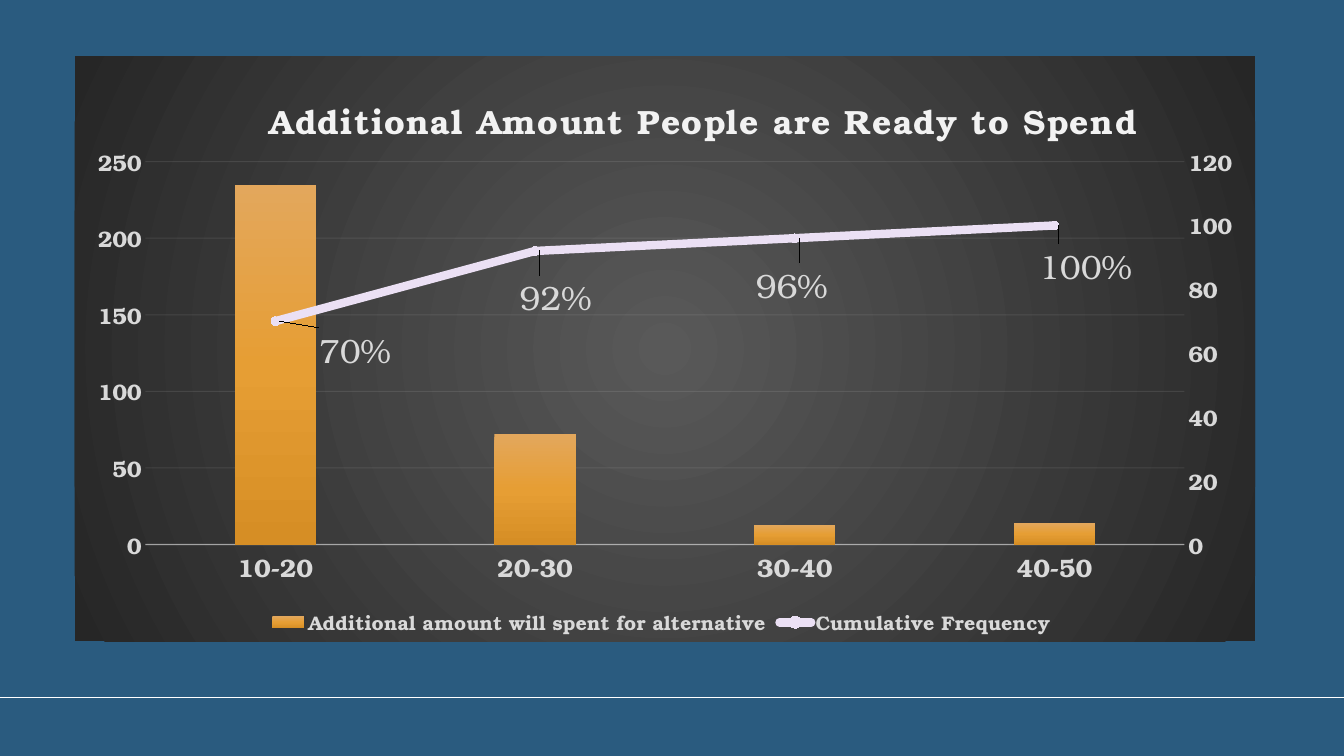
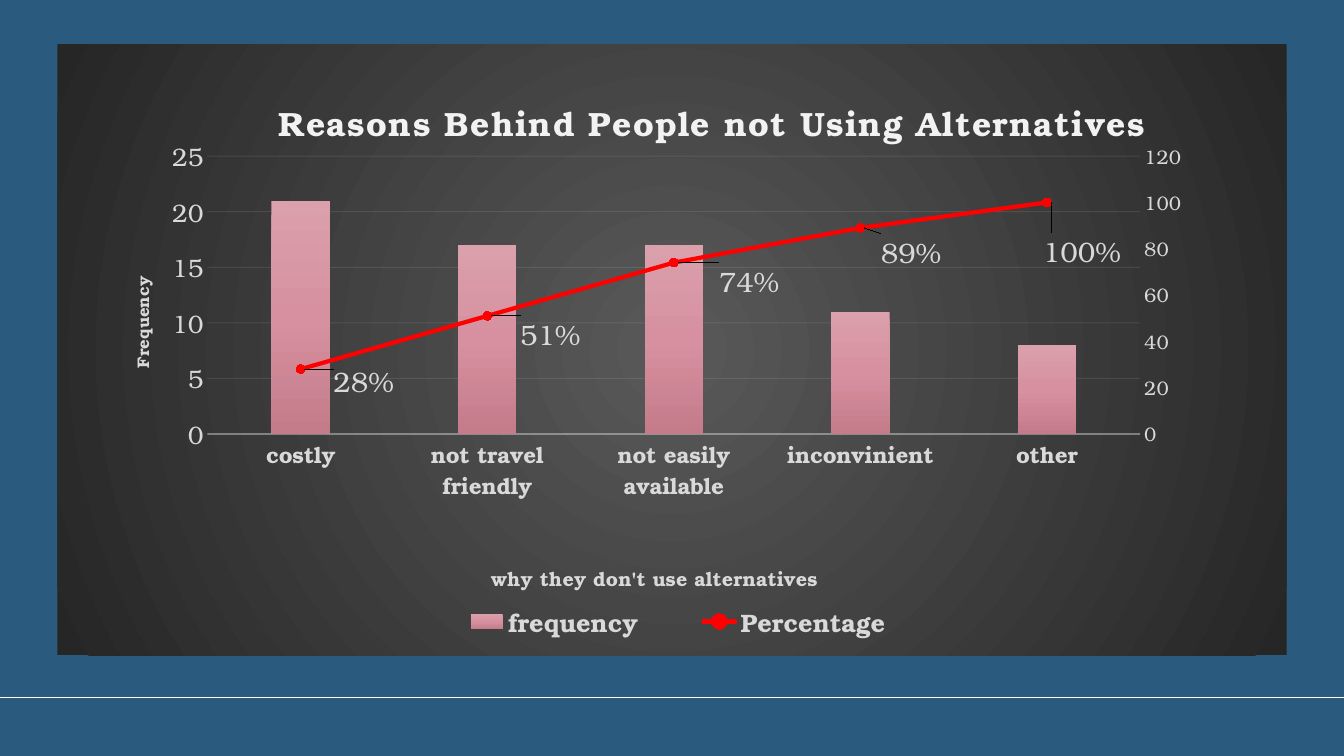
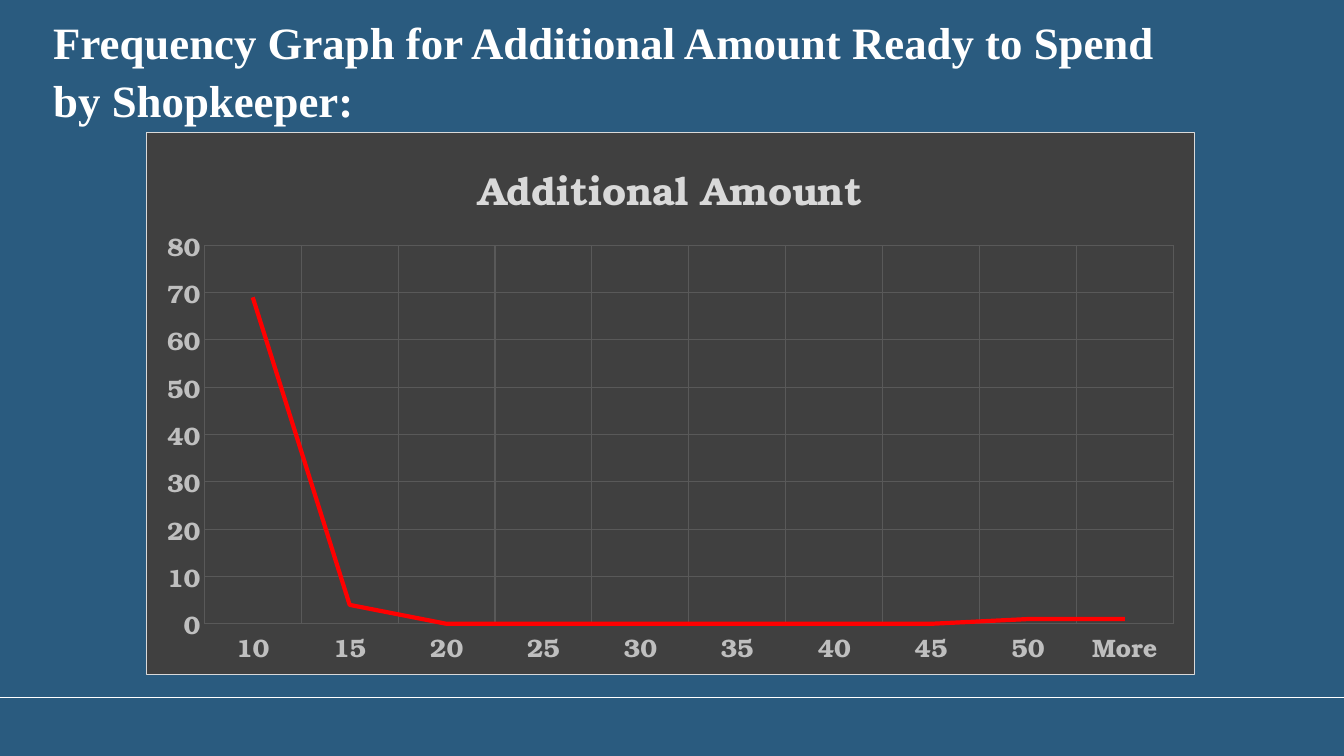
from copy import deepcopy

from pptx import Presentation
from pptx.chart.axis import ValueAxis
from pptx.chart.data import CategoryChartData
from pptx.dml.color import RGBColor
from pptx.enum.chart import (XL_CHART_TYPE, XL_LABEL_POSITION,
                             XL_LEGEND_POSITION, XL_MARKER_STYLE, XL_TICK_MARK)
from pptx.enum.shapes import MSO_CONNECTOR
from pptx.oxml import parse_xml
from pptx.oxml.ns import nsdecls, qn
from pptx.util import Inches, Pt

BARS, LINE = XL_CHART_TYPE.COLUMN_CLUSTERED, XL_CHART_TYPE.LINE
RIGHT, BOTTOM = XL_LABEL_POSITION.RIGHT, XL_LEGEND_POSITION.BOTTOM
DOT, BARE = XL_MARKER_STYLE.CIRCLE, XL_MARKER_STYLE.NONE
NO_TICK = XL_TICK_MARK.NONE
STRAIGHT = MSO_CONNECTOR.STRAIGHT

BLUE = RGBColor(0x2A, 0x5B, 0x7F)
WHITE = RGBColor(0xFF, 0xFF, 0xFF)
PALE = RGBColor(0xF2, 0xF2, 0xF2)
LIGHT = RGBColor(0xD9, 0xD9, 0xD9)
SILVER = RGBColor(0xBF, 0xBF, 0xBF)
GRAY = RGBColor(0x59, 0x59, 0x59)
DARK = RGBColor(0x40, 0x40, 0x40)
BLACK = RGBColor(0x26, 0x26, 0x26)
RED = RGBColor(0xFF, 0x00, 0x00)
LILAC = RGBColor(0xEB, 0xE0, 0xF4)
ORANGE = [(0, RGBColor(0xE3, 0xA7, 0x5C)), (50, RGBColor(0xE6, 0x9E, 0x34)),
          (100, RGBColor(0xD6, 0x8E, 0x25))]
PINK = [(0, RGBColor(0xDA, 0xA0, 0xAC)), (50, RGBColor(0xD7, 0x90, 0x9F)),
        (100, RGBColor(0xC4, 0x7C, 0x8B))]
GLOW = [(0, GRAY), (100, BLACK)]
DOWN = '<a:lin ang="5400000" scaled="0"/>'
ROUND = ('<a:path path="circle"><a:fillToRect l="50000" t="50000" '
         'r="50000" b="50000"/></a:path>')
FACE, SERIF = "TeX Gyre Bonum", "Times New Roman"


def grad(stops, way):
    """Return the XML of a gradient fill."""
    marks = "".join(f'<a:gs pos="{pos * 1000}"><a:srgbClr val="{tint}"/></a:gs>'
                    for pos, tint in stops)
    return f'<a:gradFill {nsdecls("a")}><a:gsLst>{marks}</a:gsLst>{way}</a:gradFill>'


def solid(tint):
    """Return the XML of a plain fill."""
    return f'<a:solidFill {nsdecls("a")}><a:srgbClr val="{tint}"/></a:solidFill>'


def style(font, size, tint, bold=True, face=FACE):
    """Set the look of a font."""
    font.size, font.bold, font.name = Pt(size), bold, face
    font.color.rgb = tint


def stroke(line, tint, width, alpha=100):
    """Set a line's colour, width and opacity in percent."""
    line.color.rgb, line.width = tint, Pt(width)
    if alpha < 100:
        clr = line._ln.find(".//" + qn("a:srgbClr"))
        clr.append(parse_xml(f'<a:alpha {nsdecls("a")} val="{alpha * 1000}"/>'))


def place(part, spot, mode="edge"):
    """Lay out a chart part at fractions of the chart: x, y and maybe w, h."""
    for old in part.findall(qn("c:layout")):
        part.remove(old)
    plot = part.tag == qn("c:plotArea")
    target = '<c:layoutTarget val="inner"/>' if plot else ""
    modes = "".join(f'<c:{axis}Mode val="{mode}"/>' for axis in "xy")
    sizes = "".join(f'<c:{key} val="{val}"/>' for key, val in zip("xywh", spot))
    part.insert(0 if plot else 1, parse_xml(
        f'<c:layout {nsdecls("c")}><c:manualLayout>{target}{modes}{sizes}'
        '</c:manualLayout></c:layout>'))


def caption(title, text, size, tint, spot=None, gap=0):
    """Write a chart title or an axis title."""
    para = title.text_frame.paragraphs[0]
    run = para.add_run()
    run.text = text
    style(para.font, size, tint)
    style(run.font, size, tint)
    if gap:
        run.font._element.set("spc", str(gap))
    if spot:
        place(title._element, spot)


def scale(axis, size, tint, bold=True, top=None, step=None):
    """Style an axis that has no line and no ticks."""
    axis.major_tick_mark = axis.minor_tick_mark = NO_TICK
    style(axis.tick_labels.font, size, tint, bold)
    axis.format.line.fill.background()
    if top:
        axis.minimum_scale, axis.maximum_scale, axis.major_unit = 0, top, step


def graph(slide, box, kind, cats, rows, fill, plot, edge=""):
    """Add a chart with its backdrop and plot area."""
    data = CategoryChartData()
    data.categories = cats
    for name, vals in rows:
        data.add_series(name, vals)
    chart = slide.shapes.add_chart(kind, *map(Inches, box), data).chart
    style(chart.font, 10, WHITE, False)
    chart.has_title, chart.has_legend = True, False
    space = chart._chartSpace
    space.find(qn("c:chart")).addnext(parse_xml(
        f'<c:spPr {nsdecls("a", "c")}>{fill}<a:ln w="9525">'
        f'{edge or "<a:noFill/>"}</a:ln></c:spPr>'))
    place(space.find(".//" + qn("c:plotArea")), plot)
    chart.plots[0].vary_by_categories = False
    return chart


def split(chart, group):
    """Move the second series to a line plot and return its right axis."""
    bars = chart._chartSpace.find(".//" + qn("c:barChart"))
    area = bars.getparent()
    ser = bars.findall(qn("c:ser"))[1]
    flip = ser.find(qn("c:invertIfNegative"))
    if flip is not None:
        ser.remove(flip)
    line = parse_xml(
        f'<c:lineChart {nsdecls("c")}><c:grouping val="{group}"/>'
        '<c:varyColors val="0"/><c:marker val="1"/>'
        '<c:axId val="501"/><c:axId val="502"/></c:lineChart>')
    line.insert(2, ser)
    bars.addnext(line)
    last = area.find(qn("c:valAx"))
    for tag, own, other in (("c:valAx", 502, 501), ("c:catAx", 501, 502)):
        axis = deepcopy(area.find(qn(tag)))
        axis.find(qn("c:axId")).set("val", str(own))
        axis.find(qn("c:crossAx")).set("val", str(other))
        last.addnext(axis)
        last = axis
    last.find(qn("c:delete")).set("val", "1")
    right = area.findall(qn("c:valAx"))[1]
    right.find(qn("c:axPos")).set("val", "r")
    right.find(qn("c:crosses")).set("val", "max")
    axis = ValueAxis(right)
    axis.has_major_gridlines = False
    return axis


def trend(series, tint, width, size, shifts):
    """Style the line and label each point, moved by a share of the chart."""
    series.smooth = False
    stroke(series.format.line, tint, width)
    series.format.line._ln.set("cap", "rnd")
    mark = series.marker
    mark.style, mark.size = DOT, 6
    mark.format.fill.solid()
    mark.format.fill.fore_color.rgb = tint
    stroke(mark.format.line, tint, 0.75)
    for i, (val, shift) in enumerate(zip(series.values, shifts)):
        label = series.points[i].data_label
        run = label.text_frame.paragraphs[0].add_run()
        run.text = f"{val:.0f}%"
        style(run.font, size, LIGHT, False)
        label.position = RIGHT
    for part, shift in zip(series._element.iter(qn("c:dLbl")), shifts):
        place(part, shift, "factor")


def pareto(slide, box, title, spot, cats, rows, plot, tops, sizes, bold,
           tints, width, shifts, group, key, key_box=None):
    """Draw columns with a running percentage on the right axis."""
    chart = graph(slide, box, BARS, cats, rows, grad(GLOW, ROUND), plot)
    caption(chart.chart_title, title, 24, PALE, spot, 100)
    cat, val = chart.category_axis, chart.value_axis
    scale(cat, sizes[0], LIGHT)
    stroke(cat.format.line, PALE, 1, 54)
    scale(val, sizes[1], LIGHT, bold, *tops)
    stroke(val.major_gridlines.format.line, PALE, 0.75, 10)
    scale(split(chart, group), sizes[2], LIGHT, bold, 120, 20)
    bars, line = chart.plots
    bars.gap_width, bars.overlap = 219, -27
    props = bars.series[0]._element.get_or_add_spPr()
    props.insert(0, parse_xml(grad(tints[0], DOWN)))
    trend(line.series[0], tints[1], width, sizes[3], shifts)
    chart.has_legend = True
    chart.legend.position = BOTTOM
    chart.legend.include_in_layout = False
    style(chart.legend.font, key, LIGHT)
    if key_box:
        place(chart.legend._element, key_box)
    return chart


def spend(slide, box):
    """Show the additional amount people would spend."""
    pareto(slide, box, "Additional Amount People are Ready to Spend", (0.16, 0.05),
           ["10-20", "20-30", "30-40", "40-50"],
           [("Additional amount will spent for alternative", (235, 72, 13, 14)),
            ("Cumulative Frequency ", (70, 92, 96, 100))],
           (0.06, 0.18, 0.88, 0.655), (250, 50), (18, 16, 16, 24), True,
           (ORANGE, LILAC), 6,
           [(0.03, 0.05), (-0.02, 0.08), (-0.04, 0.08), (-0.02, 0.07)],
           "stacked", 14)


def reasons(slide, box):
    """Show why people do not use alternatives."""
    chart = pareto(
        slide, box, "Reasons Behind People not Using Alternatives", (0.175, 0.07),
        ["costly", "not travel friendly", "not easily available",
         "inconvinient", "other"],
        [("frequency", (21, 17, 17, 11, 8)), ("Percentage", (28, 51, 74, 89, 100))],
        (0.122, 0.183, 0.759, 0.455), (25, 5), (16, 18, 14, 20), False,
        (PINK, RED), 3,
        [(0.02, 0.02), (0.02, 0.03), (0.03, 0.03), (0.01, 0.04), (-0.01, 0.08)],
        "standard", 18, (0.29, 0.91, 0.43, 0.07))
    caption(chart.category_axis.axis_title, "why they don't use alternatives",
            14, LIGHT, (0.35, 0.84))
    title = chart.value_axis.axis_title
    caption(title, "Frequency", 12, LIGHT, (0.055, 0.375))
    title.text_frame._txBody.bodyPr.set("rot", "-5400000")


def counts(slide, box):
    """Show the frequency line of the additional amount."""
    chart = graph(slide, box, LINE, [*map(str, range(10, 51, 5)), "More"],
                  [("Series 1", (69, 4, 0, 0, 0, 0, 0, 0, 1, 1))],
                  solid(DARK), (0.055, 0.208, 0.925, 0.698), solid(LIGHT))
    caption(chart.chart_title, "Additional Amount", 28, LIGHT)
    scale(chart.category_axis, 18, SILVER)
    scale(chart.value_axis, 18, SILVER, True, 80, 10)
    for axis in (chart.category_axis, chart.value_axis):
        stroke(axis.major_gridlines.format.line, GRAY, 0.75)
    line = chart.plots[0].series[0]
    line.smooth, line.marker.style = False, BARE
    stroke(line.format.line, RED, 3)


def heading(slide, box, text):
    """Write the slide heading."""
    frame = slide.shapes.add_textbox(*map(Inches, box)).text_frame
    frame.word_wrap = True
    para = frame.paragraphs[0]
    para.text, para.line_spacing, para.space_after = text, 1.07, Pt(8)
    style(para.font, 32, WHITE, True, SERIF)


def page(deck):
    """Add a slide with the white rule near its foot."""
    slide = deck.slides.add_slide(deck.slide_layouts[6])
    foot = Inches(6.92)
    rule = slide.shapes.add_connector(STRAIGHT, 0, foot, deck.slide_width, foot)
    stroke(rule.line, WHITE, 1.25)
    rule._element.spPr.append(parse_xml(f'<a:effectLst {nsdecls("a")}/>'))
    return slide


deck = Presentation()
deck.slide_width, deck.slide_height = Inches(13.33), Inches(7.5)
back = deck.slide_master.background.fill
back.solid()
back.fore_color.rgb = BLUE

spend(page(deck), (0.74, 0.56, 11.71, 5.8))
reasons(page(deck), (0.57, 0.44, 12.19, 6.06))
last = page(deck)
heading(last, (0.43, 0.06, 11.67, 1.21),
        "Frequency Graph for Additional Amount Ready to Spend by Shopkeeper:")
counts(last, (1.45, 1.31, 10.4, 5.39))
deck.save("out.pptx")
